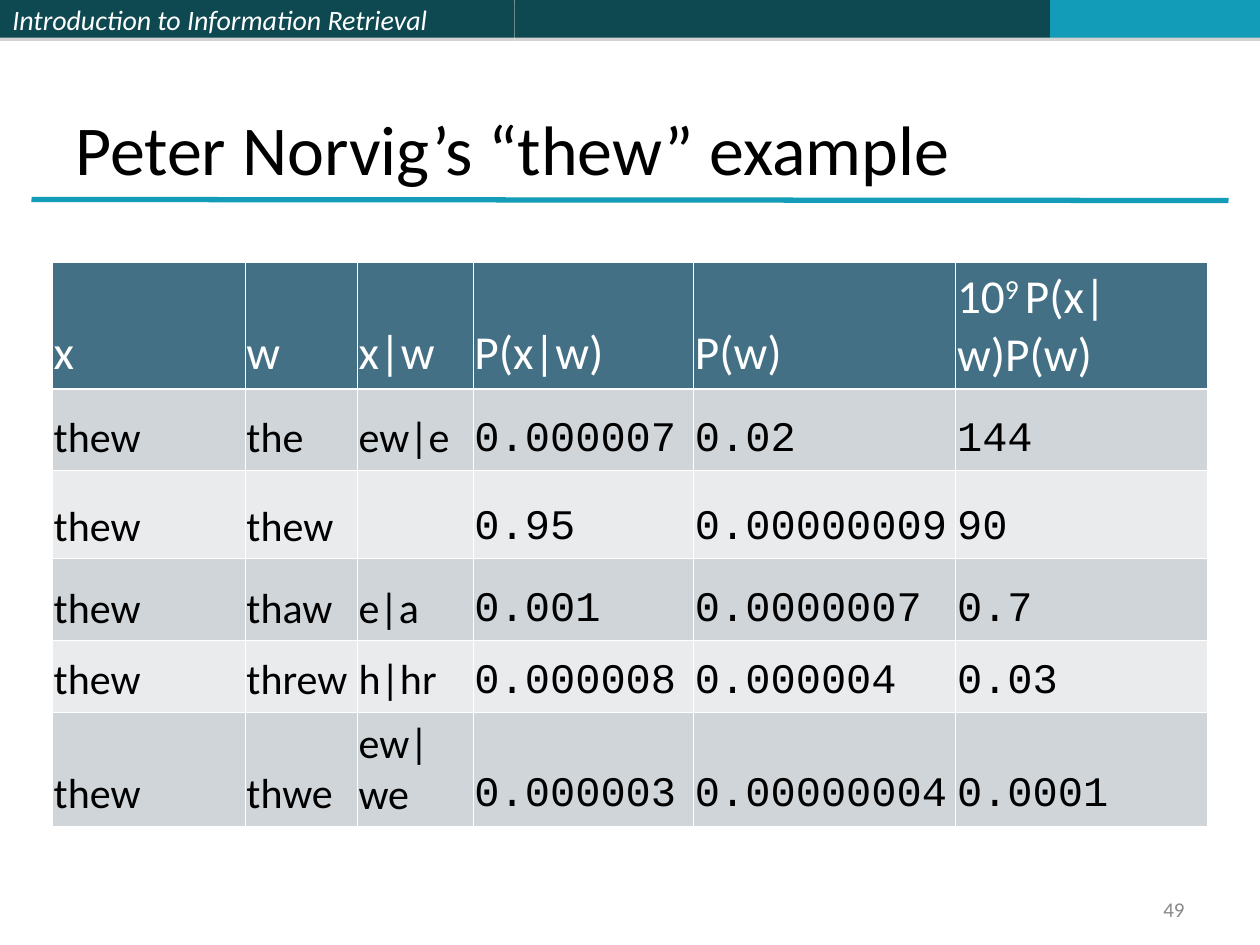
import pptx
import pptx.dml.color
import pptx.enum.shapes
import pptx.enum.text
import pptx.oxml
import pptx.oxml.ns
import pptx.util
from lxml import etree

RGBColor = pptx.dml.color.RGBColor
Anchor = pptx.enum.text.MSO_ANCHOR
Align = pptx.enum.text.PP_ALIGN
Pt = pptx.util.Pt
qn = pptx.oxml.ns.qn

DARK_TEAL = RGBColor(0x0E, 0x48, 0x51)
TEAL = RGBColor(0x13, 0x9C, 0xB7)
HEADER = RGBColor(0x43, 0x70, 0x85)
BANDS = [RGBColor(0xE9, 0xEB, 0xED), RGBColor(0xCF, 0xD5, 0xD9)]
WHITE = RGBColor(0xFF, 0xFF, 0xFF)
BLACK = RGBColor(0, 0, 0)
GRAY = RGBColor(0x89, 0x89, 0x89)

SHADOW = (
    f'<a:outerShdw {pptx.oxml.ns.nsdecls("a")} dist="{Pt(1.8)}" dir="5400000" rotWithShape="0">'
    '<a:srgbClr val="808080"><a:alpha val="35000"/></a:srgbClr></a:outerShdw>'
)

presentation = pptx.Presentation()
presentation.slide_width = pptx.util.Inches(10)
presentation.slide_height = pptx.util.Inches(7.5)
slide = presentation.slides.add_slide(presentation.slide_layouts[6])

# Grid of 120 columns by 90 rows over the slide
COLUMN = presentation.slide_width // 120
ROW = presentation.slide_height // 90


def grid_box(left, top, width, height):
    return int(left * COLUMN), int(top * ROW), int(width * COLUMN), int(height * ROW)


def write(frame, text, size, color, font="Calibri", anchor=Anchor.MIDDLE, align=Align.LEFT):
    frame.word_wrap = True
    frame.vertical_anchor = anchor
    paragraph = frame.paragraphs[0]
    paragraph.alignment = align
    paragraph.font.size = Pt(size)
    paragraph.font.name = font
    paragraph.font.color.rgb = color
    for index, part in enumerate(text.split("^")):
        if part:
            run = paragraph.add_run()
            run.text = part
            if index == 1:  # the part between carets is superscript
                run.font._element.set("baseline", "30000")
    return paragraph


# Top bar in three pieces
bars = []
for left, right, color in [(0, 49, DARK_TEAL), (49, 100, DARK_TEAL), (100, 120, TEAL)]:
    bar = slide.shapes.add_shape(
        pptx.enum.shapes.MSO_SHAPE.RECTANGLE, *grid_box(left, 0, right - left, 3.6))
    bar.fill.solid()
    bar.fill.fore_color.rgb = color
    bar.line.fill.background()
    bar.shadow.inherit = False
    bar._element.spPr.find(qn("a:effectLst")).append(pptx.oxml.parse_xml(SHADOW))
    bars.append(bar)
write(bars[0].text_frame, "Introduction to Information Retrieval", 16, WHITE).font.italic = True

# Rule under the title
rule = slide.shapes.add_connector(
    pptx.enum.shapes.MSO_CONNECTOR.STRAIGHT,
    3 * COLUMN, 19 * ROW, 117 * COLUMN, int(19.1 * ROW))
rule.line.color.rgb = TEAL
rule.line.width = Pt(3)
etree.SubElement(rule._element.spPr, qn("a:effectLst"))

# Title and slide number
title = slide.shapes.add_textbox(*grid_box(6, 3.6, 108, 15))
write(title.text_frame, "Peter Norvig’s “thew” example", 40, BLACK, anchor=Anchor.BOTTOM)
number = slide.shapes.add_textbox(*grid_box(86, 85, 28, 3.2))
write(number.text_frame, "49", 12, GRAY, align=Align.RIGHT)

# Table of correction candidates
candidates = [
    ["x", "w", "x|w", "P(x|w)", "P(w)", "10^9 ^P(x|w)P(w)"],
    ["thew", "the", "ew|e", "0.000007", "0.02", "144"],
    ["thew", "thew", "", "0.95", "0.00000009", "90"],
    ["thew", "thaw", "e|a", "0.001", "0.0000007", "0.7"],
    ["thew", "threw", "h|hr", "0.000008", "0.000004", "0.03"],
    ["thew", "thwe", "ew|we", "0.000003", "0.00000004", "0.0001"],
]
column_widths = [18.36, 10.68, 11.04, 21, 24.96, 24]
row_heights = [11.04, 7.8, 8.4, 7.8, 6.84, 9.84]
table = slide.shapes.add_table(
    len(row_heights), len(column_widths),
    *grid_box(5, 25, sum(column_widths), sum(row_heights))).table
table.first_row = False
table.horz_banding = False
for column, width in zip(table.columns, column_widths):
    column.width = int(width * COLUMN)
for row, height in zip(table.rows, row_heights):
    row.height = int(height * ROW)

for row_index, values in enumerate(candidates):
    is_header = row_index == 0
    for column_index, value in enumerate(values):
        cell = table.cell(row_index, column_index)
        cell.margin_left = cell.margin_right = pptx.util.Inches(0.01)
        cell.vertical_anchor = Anchor.BOTTOM

        # White borders, heavier between header and body
        heavy_side = {0: "B", 1: "T"}.get(row_index)
        for side in "LRTB":
            width = Pt(1.47 if side == heavy_side else 0.45)
            border = etree.SubElement(
                cell._tc.get_or_add_tcPr(), qn(f"a:ln{side}"), w=str(width))
            fill = etree.SubElement(border, qn("a:solidFill"))
            etree.SubElement(fill, qn("a:srgbClr"), val=str(WHITE))
        cell.fill.solid()
        cell.fill.fore_color.rgb = HEADER if is_header else BANDS[row_index % 2]

        is_number = not is_header and column_index >= 3
        write(cell.text_frame, value, 27 if is_header else 24, WHITE if is_header else BLACK,
              "Courier New" if is_number else "Calibri", Anchor.BOTTOM)

presentation.save("out.pptx")
